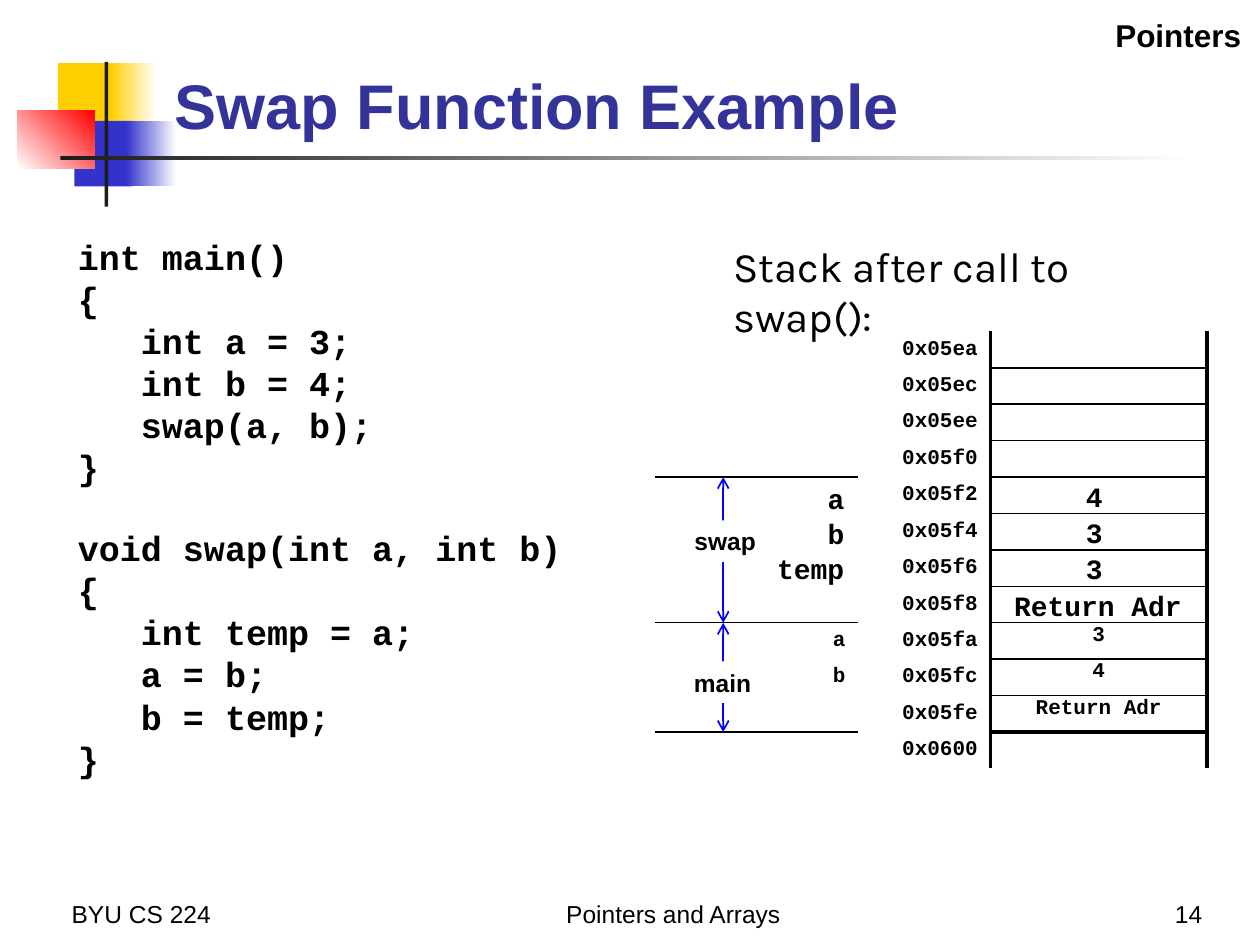
from lxml.etree import SubElement as Sub
from pptx import Presentation
from pptx.dml.color import RGBColor as RGB
from pptx.enum.shapes import MSO_CONNECTOR as Conn, MSO_SHAPE as Kind
from pptx.enum.text import MSO_ANCHOR as Anchor, PP_ALIGN as Align
from pptx.oxml.ns import qn
from pptx.util import Inches, Pt

THEME = {
    "ink": "000000", "paper": "FFFFFF", "title": "333399", "arrow": "0000FF",
    "gold": "FFCF01", "blue": "3333CC", "red": "FF0000", "bar": "1C1C1C",
    "sans": "Arial", "mono": "Courier New", "head": "Karla",
    "sizes": {"title": 36, "head": 24, "code": 20, "topic": 18,
              "label": 16, "foot": 14, "cell": 12},
}
SIZE = THEME["sizes"]

# Content
CODE = [
    ["int main()", "{", "   int a = 3;", "   int b = 4;", "   swap(a, b);", "}"],
    ["void swap(int a, int b)", "{", "   int temp = a;", "   a = b;",
     "   b = temp;", "}"],
]
ADDRS = ["0x05ea", "0x05ec", "0x05ee", "0x05f0", "0x05f2", "0x05f4",
         "0x05f6", "0x05f8", "0x05fa", "0x05fc", "0x05fe", "0x0600"]
NAMES = {8: "a", 9: "b"}
VALUES = {8: "3", 9: "4", 10: "Return Adr"}
FRAMES = [("main", 8, 11, 5.25, 0.65), ("swap", 4, 8, 4.13, 0.69)]
LABELS = [  # text, left, top, width
    ("a", 6.47, 3.77, 0.34), ("b", 6.47, 4.05, 0.34), ("temp", 6.07, 4.33, 0.74),
    ("4", 8.52, 3.76, 0.34), ("3", 8.52, 4.04, 0.34), ("3", 8.52, 4.33, 0.34),
    ("Return Adr", 7.95, 4.62, 1.54),
]
FOOT = [("BYU CS 224", 0.47, 2.08, Align.LEFT),
        ("Pointers and Arrays", 2.78, 5.13, Align.CENTER),
        ("14", 7.56, 2.08, Align.RIGHT)]
DECOR = [  # left, top, width, height, colours, angle
    (0.46, 0.5, 0.48, 0.52, ["gold"], 0),
    (0.88, 0.5, 0.36, 0.52, ["gold", "paper"], 0),
    (0.59, 0.96, 0.46, 0.52, ["blue"], 0),
    (1, 0.96, 0.4, 0.52, ["blue", "paper"], 0),
    (0.14, 0.88, 0.61, 0.46, ["paper", "red"], 45),
    (0.83, 0.49, 0.03, 1.15, ["bar"], 0),
    (0.48, 1.24, 9, 0.03, ["bar", "paper"], 0),
]

# Stack grid
LEFT, TOP, TALL = 5.2, 2.63, 3.47
COLS = [1.61, 1.05, 1.72]
STEP = TALL / len(ADDRS)
THIN, THICK = 1, 2.25
EDGES = {4, 8, 11}  # rows where a stack frame begins or ends

deck = Presentation()
deck.slide_width, deck.slide_height = Inches(10), Inches(7.5)
slide = deck.slides.add_slide(deck.slide_layouts[6])
shapes = slide.shapes


def color(name):
    return RGB.from_string(THEME[name])


def style(par, size, face="sans", bold=True, ink="ink", align=Align.LEFT):
    par.alignment = align
    font = par.font
    font.size, font.name, font.bold = Pt(SIZE[size]), THEME[face], bold
    font.color.rgb = color(ink)


def write(lines, box, size, wrap=True, anchor=Anchor.TOP, **look):
    frame = shapes.add_textbox(*map(Inches, box)).text_frame
    frame.word_wrap, frame.vertical_anchor = wrap, anchor
    frame.text = "\n".join(lines)
    for par in frame.paragraphs:
        style(par, size, **look)
    return frame


def block(box, names, angle=0):
    rect = shapes.add_shape(Kind.RECTANGLE, *map(Inches, box))
    rect.shadow.inherit = False
    rect.line.fill.background()
    if len(names) == 1:
        rect.fill.solid()
        rect.fill.fore_color.rgb = color(names[0])
    else:
        rect.fill.gradient()
        rect.fill.gradient_angle = angle
        for stop, name in zip(rect.fill.gradient_stops, names):
            stop.color.rgb = color(name)
    return rect


def arrow(x, top, end):
    line = shapes.add_connector(Conn.STRAIGHT, *map(Inches, (x, top, x, end)))
    line.line.color.rgb, line.line.width = color("arrow"), Pt(1)
    ln = line.line._get_or_add_ln()
    for tag in ("a:headEnd", "a:tailEnd"):
        Sub(ln, qn(tag), type="arrow")
    Sub(line._element.spPr, qn("a:effectLst"))


def border(cell, sides):
    props = cell._tc.get_or_add_tcPr()
    for i, side in enumerate("LRTB"):
        width = sides.get(side, 0)
        ln = Sub(props, qn("a:ln" + side), w=str(Pt(width)))
        if width:
            fill = Sub(ln, qn("a:solidFill"))
            Sub(fill, qn("a:srgbClr"), val=THEME["ink"])
        else:
            Sub(ln, qn("a:noFill"))
        props.insert(i, ln)


def rule(col, row):
    """Width of the horizontal line above a row; none at the open ends."""
    if col == 2 and 0 < row < len(ADDRS):
        return THICK if row == 11 else THIN
    return THIN if col == 0 and row in EDGES else 0


# Decoration, title and footer
for *box, names, angle in DECOR:
    block(box, names, angle)
write(["Swap Function Example"], (1.29, 0.23, 8.52, 0.95), "title",
      anchor=Anchor.BOTTOM, ink="title")
write(["Pointers"], (5.93, 0.08, 4.02, 0.4), "topic", align=Align.RIGHT)
for text, x, wide, align in FOOT:
    write([text], (x, 6.92, wide, 0.5), "foot", anchor=Anchor.BOTTOM,
          bold=False, align=align)

# Code, with a line's gap between functions
code = write(sum(CODE, []), (0.52, 1.81, 5.03, 4.43), "code",
             anchor=Anchor.MIDDLE, face="mono")
code.paragraphs[len(CODE[0])].space_before = Pt(22.66)

# Stack table
write(["Stack after call to swap():"], (5.72, 1.86, 3.9, 0.5), "head",
      face="head", bold=False)
table = shapes.add_table(len(ADDRS), len(COLS), *map(
    Inches, (LEFT, TOP, sum(COLS), TALL))).table
table.first_row = table.horz_banding = False
for col, wide in zip(table.columns, COLS):
    col.width = Inches(wide)
for r, addr in enumerate(ADDRS):
    table.rows[r].height = Inches(STEP)
    for c, text in enumerate((NAMES.get(r, ""), addr, VALUES.get(r, ""))):
        cell = table.cell(r, c)
        cell.fill.background()
        cell.margin_top = cell.margin_bottom = Inches(0.01)
        cell.vertical_anchor = Anchor.TOP if c == 2 else Anchor.MIDDLE
        cell.text = text
        par = cell.text_frame.paragraphs[0]
        style(par, "cell", "mono", align=Align.CENTER if c == 2 else Align.RIGHT)
        if not text:
            Sub(par._p, qn("a:endParaRPr"), sz=str(SIZE["cell"] * 100))
        border(cell, {"L": THICK if c == 2 else 0, "R": THICK if c else 0,
                      "T": rule(c, r), "B": rule(c, r + 1)})

# Frame spans and variable labels
for name, first, last, y, wide in FRAMES:
    arrow(5.74, TOP + first * STEP, TOP + last * STEP)
    tag = block((5.41, y, wide, 0.33), ["paper"]).text_frame
    tag.word_wrap, tag.vertical_anchor = False, Anchor.MIDDLE
    tag.text = name
    style(tag.paragraphs[0], "foot", align=Align.CENTER)
for text, x, y, wide in LABELS:
    write([text], (x, y, wide, 0.37), "label", wrap=False, face="mono")

deck.save("out.pptx")
